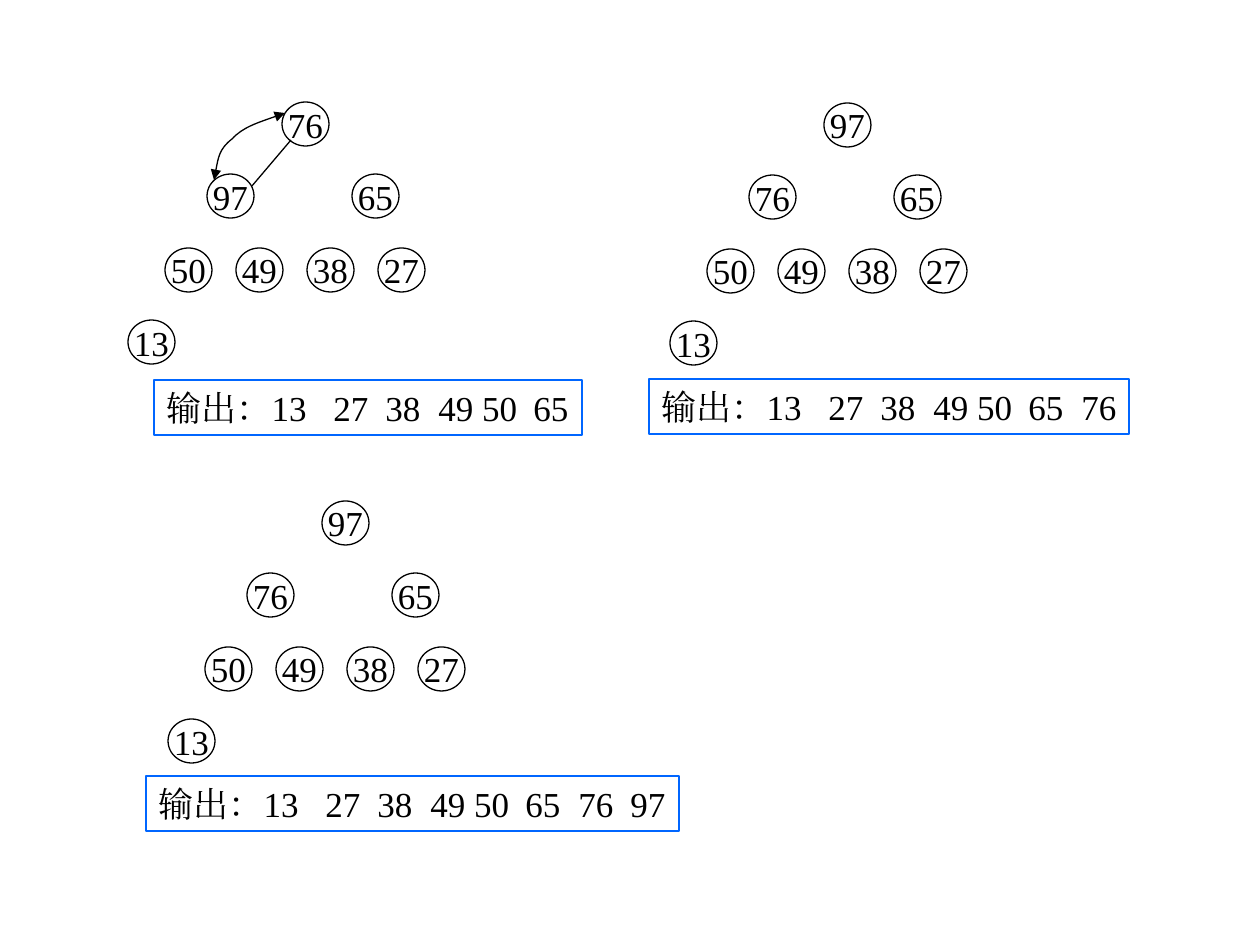
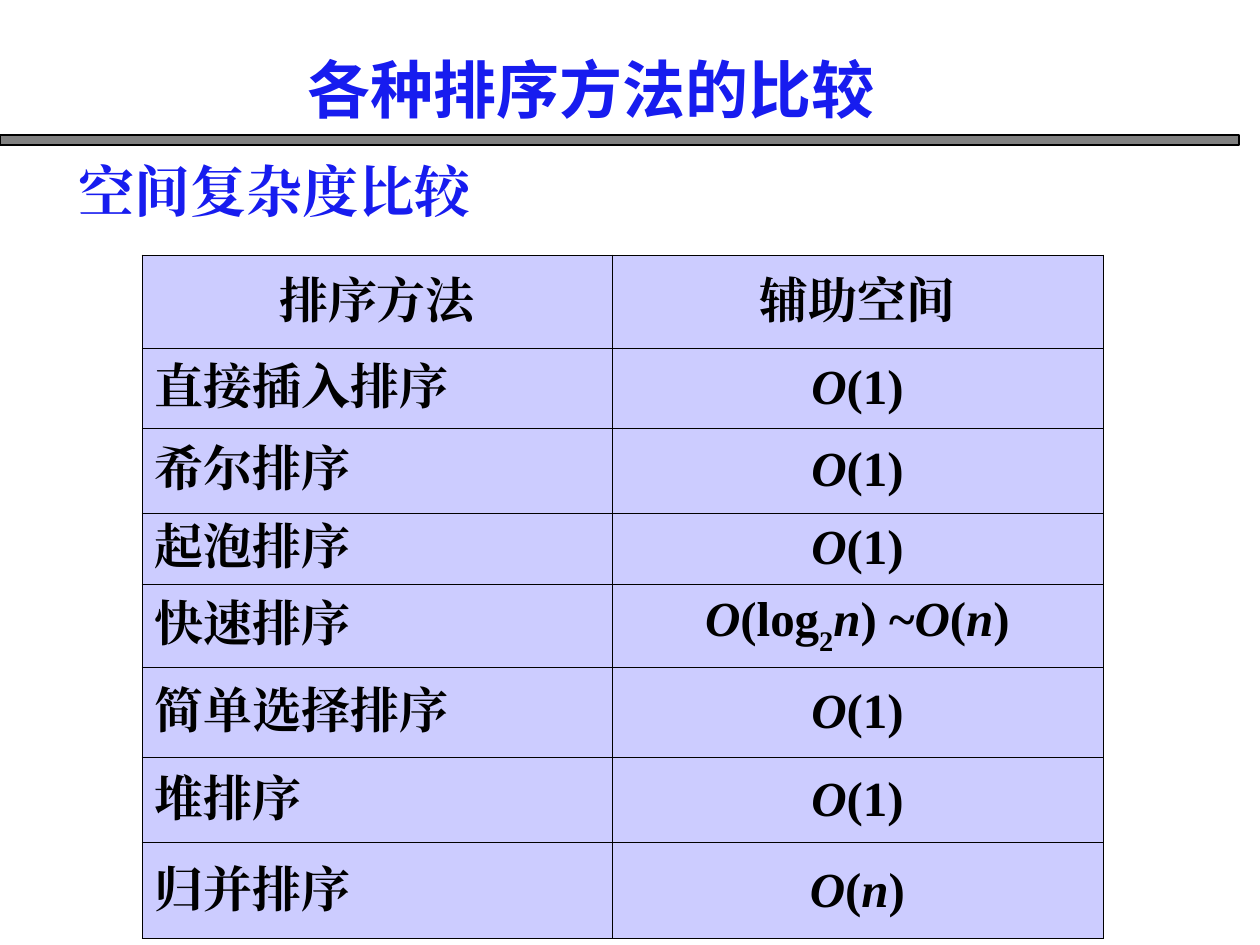
"""Build the final heap-sort steps and the space comparison of sorting methods."""
from typing import NamedTuple, Sequence

from pptx import Presentation
from pptx.dml.color import RGBColor
from pptx.enum.shapes import MSO_CONNECTOR, MSO_SHAPE
from pptx.enum.text import MSO_ANCHOR, MSO_AUTO_SIZE, PP_ALIGN
from pptx.oxml.ns import qn
from pptx.oxml.xmlchemy import OxmlElement
from pptx.util import Emu, Pt

EMU_PER_PX = 914400 // 126

BLACK = RGBColor(0x00, 0x00, 0x00)
HEADING_BLUE = RGBColor(0x17, 0x1C, 0xEF)
OUTPUT_BLUE = RGBColor(0x00, 0x66, 0xFF)
BAND_GRAY = RGBColor(0x80, 0x80, 0x80)
CELL_LILAC = RGBColor(0xCC, 0xCC, 0xFF)
SERIF = "Times New Roman"
SANS = "Noto Sans CJK SC"
THIN = Pt(0.75)

NODE_SIZE = (47, 44)
NODE_OFFSETS = [
    (0, 0),
    (-75, 72), (70, 72),
    *[(-117 + 71 * column, 146) for column in range(4)],
    (-154, 218),
]
OUTPUT_TABS = (167, 219, 272, 367, 420, 472)


class Box(NamedTuple):
    left: int
    top: int
    width: int
    height: int


class Span(NamedTuple):
    text: str
    italic: bool = False
    subscript: bool = False


class TextStyle(NamedTuple):
    size: int
    font: str = SERIF
    color: RGBColor = BLACK
    bold: bool = False


class HeapStep(NamedTuple):
    root: tuple[int, int]
    keys: Sequence[int]
    output_box: Box
    output: str
    swapping: bool = False


class Method(NamedTuple):
    name: str
    space: Sequence[Span]
    row_height: int


NODE_STYLE = TextStyle(20)
TITLE_STYLE = TextStyle(36, SANS, HEADING_BLUE, True)
SUBTITLE_STYLE = TextStyle(32, SERIF, HEADING_BLUE, True)
CELL_STYLE = TextStyle(28, bold=True)

BIG_O = Span("O", italic=True)
N = Span("n", italic=True)
CONSTANT = (BIG_O, Span("(1)"))
LINEAR = (BIG_O, Span("("), N, Span(")"))
LOG_TO_LINEAR = (BIG_O, Span("(log"), Span("2", subscript=True), N, Span(") ~"), *LINEAR)

HEAP_STEPS = [
    HeapStep((282, 102), (76, 97, 65, 50, 49, 38, 27, 13), Box(154, 380, 428, 55),
             "输出：13\t27\t38\t49 50\t65", swapping=True),
    HeapStep((824, 103), (97, 76, 65, 50, 49, 38, 27, 13), Box(649, 379, 480, 55),
             "输出：13\t27\t38\t49 50\t65\t76"),
    HeapStep((322, 501), (97, 76, 65, 50, 49, 38, 27, 13), Box(146, 776, 533, 55),
             "输出：13\t27\t38\t49 50\t65\t76\t97"),
]
METHODS = [
    Method("直接插入排序", CONSTANT, 80),
    Method("希尔排序", CONSTANT, 85),
    Method("起泡排序", CONSTANT, 71),
    Method("快速排序", LOG_TO_LINEAR, 83),
    Method("简单选择排序", CONSTANT, 91),
    Method("堆排序", CONSTANT, 85),
    Method("归并排序", LINEAR, 96),
]


def px(length: int) -> Emu:
    """Turn pixels into EMU."""
    return Emu(length * EMU_PER_PX)


def scaled(lengths: Sequence[int]) -> list[Emu]:
    """Turn several pixel lengths into EMU."""
    return [px(length) for length in lengths]


def write(paragraph, spans: Sequence[Span], style: TextStyle, align=PP_ALIGN.LEFT) -> None:
    """Add styled runs to a paragraph."""
    paragraph.alignment = align
    for span in spans:
        run = paragraph.add_run()
        run.text = span.text
        run.font.size = Pt(style.size)
        run.font.bold = style.bold
        run.font.italic = span.italic
        run.font.color.rgb = style.color
        run.font.name = style.font
        properties = run._r.get_or_add_rPr()
        east_asian = OxmlElement("a:ea")
        east_asian.set("typeface", style.font)
        properties.find(qn("a:latin")).addnext(east_asian)
        if span.subscript:
            properties.set("baseline", "-30000")


def add_outlined(shapes, preset, box: Box, line_color: RGBColor):
    """Add an unfilled preset shape with a thin line."""
    outlined = shapes.add_shape(preset, *scaled(box))
    outlined.shadow.inherit = False
    outlined.fill.background()
    outlined.line.color.rgb = line_color
    outlined.line.width = THIN
    return outlined


def add_node(shapes, key: int, left: int, top: int) -> None:
    """Draw one heap node."""
    node = add_outlined(shapes, MSO_SHAPE.OVAL, Box(left, top, *NODE_SIZE), BLACK)
    node.text_frame.word_wrap = False
    node.text_frame.vertical_anchor = MSO_ANCHOR.MIDDLE
    write(node.text_frame.paragraphs[0], [Span(str(key))], NODE_STYLE, PP_ALIGN.CENTER)


def add_output(shapes, step: HeapStep) -> None:
    """Draw the framed list of keys already sorted."""
    output = add_outlined(shapes, MSO_SHAPE.RECTANGLE, step.output_box, OUTPUT_BLUE)
    output.text_frame.word_wrap = True
    output.text_frame.vertical_anchor = MSO_ANCHOR.TOP
    paragraph = output.text_frame.paragraphs[0]
    tab_list = OxmlElement("a:tabLst")
    for position in OUTPUT_TABS:
        tab = OxmlElement("a:tab")
        tab.set("pos", str(px(position)))
        tab.set("algn", "l")
        tab_list.append(tab)
    paragraph._p.get_or_add_pPr().append(tab_list)
    write(paragraph, [Span(step.output)], NODE_STYLE)


def add_edge(shapes, start: tuple[int, int], end: tuple[int, int]) -> None:
    """Draw the edge between two nodes."""
    edge = shapes.add_connector(MSO_CONNECTOR.STRAIGHT, *scaled(start + end))
    edge.line.color.rgb = BLACK
    edge.line.width = THIN
    edge._element.spPr.append(OxmlElement("a:effectLst"))


def add_swap_arrow(shapes, points: Sequence[tuple[int, int]]) -> None:
    """Draw a double-headed curve through Bezier points."""
    builder = shapes.build_freeform(*points[0], scale=float(EMU_PER_PX))
    builder.add_line_segments(points[1:], close=False)
    swap = builder.convert_to_shape()
    swap.shadow.inherit = False
    swap.fill.background()
    swap.line.color.rgb = BLACK
    swap.line.width = THIN
    outline = swap._element.spPr.find(".//" + qn("a:path"))
    segments = outline.findall(qn("a:lnTo"))
    for first in range(0, len(segments), 3):
        curve = OxmlElement("a:cubicBezTo")
        for segment in segments[first:first + 3]:
            curve.append(segment[0])
            outline.remove(segment)
        outline.append(curve)
    for end in ("a:headEnd", "a:tailEnd"):
        arrowhead = OxmlElement(end)
        arrowhead.set("type", "triangle")
        swap._element.spPr.find(qn("a:ln")).append(arrowhead)


def add_heap(slide, step: HeapStep) -> None:
    """Draw one heap with its output."""
    heap = slide.shapes.add_group_shape().shapes
    left, top = step.root
    for key, (dx, dy) in zip(step.keys, NODE_OFFSETS):
        add_node(heap, key, left + dx, top + dy)
    if step.swapping:
        add_edge(heap, (291, 140), (252, 186))
    add_output(heap, step)
    if step.swapping:
        add_swap_arrow(slide.shapes, [(285, 113), (263, 121), (243, 127), (232, 139),
                                      (219, 149), (217, 164), (214, 180)])


def fill_heading(placeholder, box: Box, text: str, style: TextStyle) -> None:
    """Place and fill a heading placeholder."""
    placeholder.left, placeholder.top, placeholder.width, placeholder.height = scaled(box)
    frame = placeholder.text_frame
    frame.word_wrap = True
    frame.auto_size = MSO_AUTO_SIZE.NONE
    frame.vertical_anchor = MSO_ANCHOR.TOP
    paragraph = frame.paragraphs[0]
    properties = paragraph._p.get_or_add_pPr()
    properties.set("marL", "0")
    properties.set("indent", "0")
    properties.append(OxmlElement("a:buNone"))
    paragraph.space_before = Pt(0)
    write(paragraph, [Span(text)], style)


def fill_cell(cell, spans: Sequence[Span], align) -> None:
    """Fill, frame and write one table cell."""
    properties = cell._tc.get_or_add_tcPr()
    for side in ("a:lnL", "a:lnR", "a:lnT", "a:lnB"):
        border = OxmlElement(side)
        border.set("w", str(Pt(0.45)))
        ink = OxmlElement("a:solidFill")
        color = OxmlElement("a:srgbClr")
        color.set("val", str(BLACK))
        ink.append(color)
        border.append(ink)
        properties.append(border)
    cell.fill.solid()
    cell.fill.fore_color.rgb = CELL_LILAC
    cell.vertical_anchor = MSO_ANCHOR.MIDDLE
    write(cell.text_frame.paragraphs[0], spans, CELL_STYLE, align)


def add_space_table(slide) -> None:
    """Add the table of auxiliary space by method."""
    heights = [93, *[method.row_height for method in METHODS]]
    widths = (470, 491)
    box = Box(142, 255, sum(widths), sum(heights))
    table = slide.shapes.add_table(len(heights), len(widths), *scaled(box)).table
    table.first_row = table.horz_banding = False
    for column, width in zip(table.columns, widths):
        column.width = px(width)
    for row, height in zip(table.rows, heights):
        row.height = px(height)
    for column, header in enumerate(("排序方法", "辅助空间")):
        fill_cell(table.cell(0, column), [Span(header)], PP_ALIGN.CENTER)
    for row, method in enumerate(METHODS, start=1):
        fill_cell(table.cell(row, 0), [Span(method.name)], PP_ALIGN.LEFT)
        fill_cell(table.cell(row, 1), method.space, PP_ALIGN.CENTER)


def main() -> None:
    """Build and save both slides."""
    deck = Presentation()
    deck.slide_width, deck.slide_height = px(1260), px(945)

    heap_slide = deck.slides.add_slide(deck.slide_layouts[6])
    for step in HEAP_STEPS:
        add_heap(heap_slide, step)

    comparison = deck.slides.add_slide(deck.slide_layouts[1])
    band = add_outlined(comparison.shapes, MSO_SHAPE.RECTANGLE, Box(0, 135, 1239, 10), BLACK)
    band.fill.solid()
    band.fill.fore_color.rgb = BAND_GRAY
    title, subtitle = list(comparison.placeholders)[:2]
    fill_heading(title, Box(295, 44, 658, 88), "各种排序方法的比较", TITLE_STYLE)
    fill_heading(subtitle, Box(66, 150, 494, 81), "空间复杂度比较", SUBTITLE_STYLE)
    add_space_table(comparison)

    deck.save("out.pptx")


if __name__ == "__main__":
    main()
